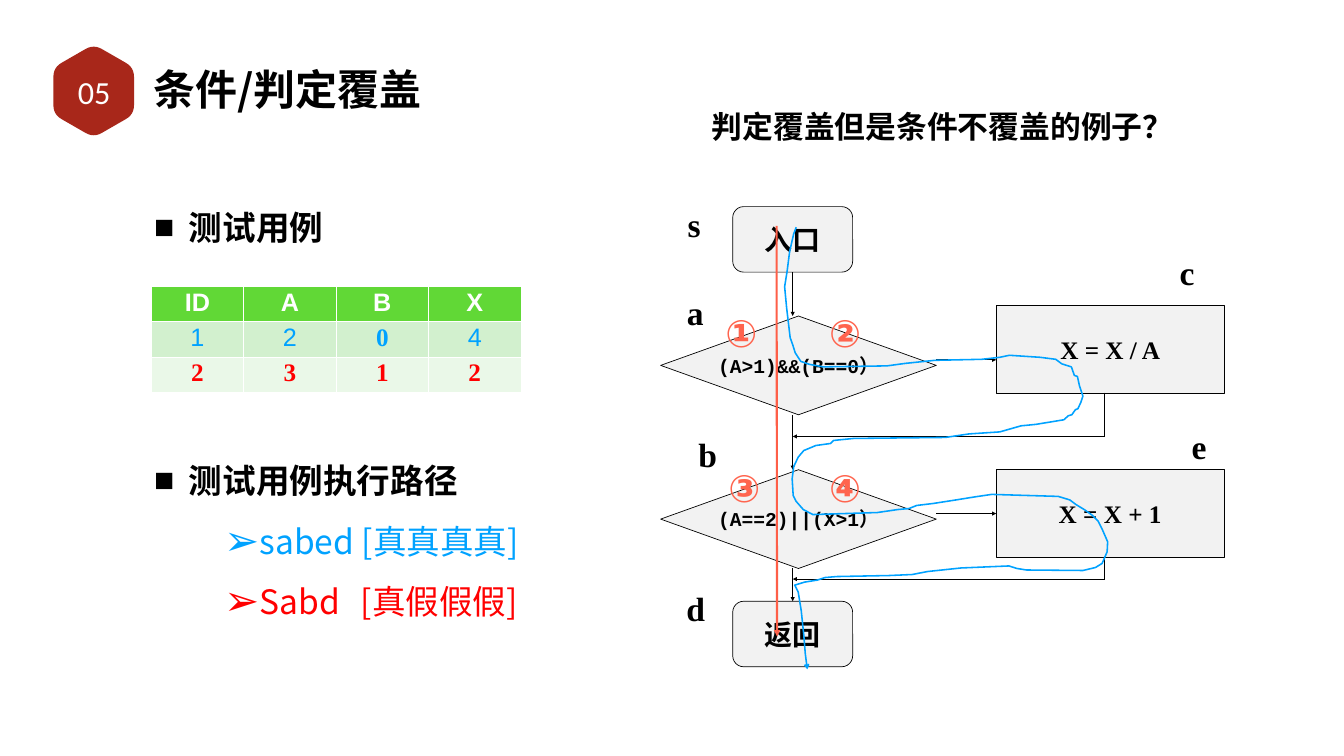
from dataclasses import dataclass

from pptx import Presentation
from pptx.dml.color import RGBColor
from pptx.enum.shapes import MSO_CONNECTOR, MSO_SHAPE
from pptx.enum.text import MSO_ANCHOR, MSO_AUTO_SIZE, PP_ALIGN
from pptx.oxml.ns import qn
from pptx.util import Inches, Pt
from lxml import etree

TERMINAL = MSO_SHAPE.FLOWCHART_ALTERNATE_PROCESS
DECISION = MSO_SHAPE.FLOWCHART_DECISION
PROCESS = MSO_SHAPE.FLOWCHART_PROCESS
STRAIGHT = MSO_CONNECTOR.STRAIGHT
CENTER, LEFT = PP_ALIGN.CENTER, PP_ALIGN.LEFT
TOP, MIDDLE = MSO_ANCHOR.TOP, MSO_ANCHOR.MIDDLE
NO_AUTOFIT = MSO_AUTO_SIZE.NONE


@dataclass(frozen=True)
class Theme:
    black: str = "000000"
    white: str = "FFFFFF"
    crimson: str = "A8271A"
    panel: str = "F2F2F2"
    blue: str = "00A2FF"
    red: str = "FF0000"
    coral: str = "FF644E"
    path_red: str = "FE5F48"
    header: str = "61D836"
    band_dark: str = "D2F0CE"
    band_light: str = "EAF8E8"
    cjk: str = "Noto Sans CJK SC"
    serif: str = "Times New Roman"
    sans: str = "Arial"
    mono: str = "Courier New"
    number: str = "Calibri"
    title: int = 60
    mark: int = 54
    body: int = 48
    badge: int = 46
    question: int = 44
    terminal: int = 40
    step: int = 36
    condition: int = 28


THEME = Theme()

BLUE_PATH = [
    (15.8, 4.51), (15.75, 4.64), (15.67, 4.99), (15.62, 5.38), (15.57, 5.69),
    (15.61, 6.11), (15.68, 6.7), (15.73, 6.84), (15.78, 7), (15.89, 7.17),
    (16.06, 7.23), (16.34, 7.28), (17.6, 7.26), (17.97, 7.21), (18.55, 7.15),
    (19.48, 7.13), (19.84, 7.09), (20.03, 7.05), (20.64, 7.09), (20.95, 7.13),
    (21.07, 7.22), (21.26, 7.28), (21.32, 7.45), (21.38, 7.47), (21.42, 7.65),
    (21.49, 7.86), (21.45, 7.98), (21.39, 8.11), (21.34, 8.13), (21.27, 8.23),
    (21.2, 8.25), (21.11, 8.33), (20.56, 8.42), (20.26, 8.45), (19.84, 8.57),
    (19.23, 8.61), (18.76, 8.68), (16.94, 8.7), (16.54, 8.74), (16.48, 8.8),
    (16.19, 8.84), (15.95, 8.94), (15.84, 9.07), (15.75, 9.26), (15.72, 9.5),
    (15.74, 9.83), (15.8, 9.95), (15.94, 10.11), (16.13, 10.21), (17.41, 10.17),
    (17.82, 10.11), (18.04, 10.09), (18.19, 10.03), (18.52, 9.99), (18.97, 9.92),
    (19.34, 9.86), (19.68, 9.81), (21, 9.85), (21.23, 9.92), (21.35, 10.01),
    (21.53, 10.12), (21.67, 10.22), (21.79, 10.34), (21.88, 10.52), (21.98, 10.75),
    (21.97, 10.95), (21.87, 11.18), (21.74, 11.26), (21.49, 11.32), (20.37, 11.31),
    (20.18, 11.28), (20.02, 11.23), (19.07, 11.27), (18.41, 11.34), (18.1, 11.4),
    (17.64, 11.42), (16.6, 11.44), (16.37, 11.46), (16.22, 11.51), (15.97, 11.55),
    (15.77, 11.61), (15.84, 11.75), (15.9, 12.12), (15.95, 12.6), (15.98, 12.97),
    (16.02, 13.28),
]


def rgb(value):
    return RGBColor.from_string(value)


def apply(target, values):
    for name, value in values.items():
        setattr(target, name, value)


def write(paragraph, text, size, font, color, bold=True, align=LEFT):
    paragraph.alignment = align
    run = paragraph.add_run()
    run.text = text
    apply(run.font, {"size": Pt(size), "name": font, "bold": bold})
    run.font.color.rgb = rgb(color)
    if font == THEME.cjk:
        etree.SubElement(run._r.get_or_add_rPr(), qn("a:ea"), typeface=font)
    return run


def format_frame(frame, anchor=TOP, wrap=True, margin=None):
    apply(frame, {"auto_size": NO_AUTOFIT, "word_wrap": wrap, "vertical_anchor": anchor})
    if margin is not None:
        sides = ("margin_left", "margin_right", "margin_top", "margin_bottom")
        apply(frame, dict.fromkeys(sides, Inches(margin)))


def add_text(slide, box, text, size, font, color, **frame_format):
    shape = slide.shapes.add_textbox(*map(Inches, box))
    format_frame(shape.text_frame, **frame_format)
    bold = font != THEME.number
    return write(shape.text_frame.paragraphs[0], text, size, font, color, bold, CENTER)


def add_mark(slide, left, top, text):
    run = add_text(slide, (left, top, 0.96, 1.01), text, THEME.mark, THEME.sans,
                   THEME.coral, wrap=False)
    outline = etree.Element(qn("a:ln"), w=str(Pt(0.75)))
    fill = etree.SubElement(outline, qn("a:solidFill"))
    etree.SubElement(fill, qn("a:srgbClr"), val=THEME.white)
    run._r.get_or_add_rPr().insert(0, outline)


def add_node(slide, kind, box, text, size, font):
    shape = slide.shapes.add_shape(kind, *map(Inches, box))
    shape.shadow.inherit = False
    shape.fill.solid()
    shape.fill.fore_color.rgb = rgb(THEME.panel)
    format_line(shape.line, THEME.black, 1)
    format_frame(shape.text_frame, MIDDLE, wrap=False)
    write(shape.text_frame.paragraphs[0], text, size, font, THEME.black, align=CENTER)


def format_line(line, color, width, arrow=None):
    line.color.rgb = rgb(color)
    line.width = Pt(width)
    if arrow:
        etree.SubElement(line._get_or_add_ln(), qn("a:tailEnd"), type=arrow)


def add_line(slide, start, end, color=THEME.black, width=1, arrow="triangle"):
    connector = slide.shapes.add_connector(STRAIGHT, *map(Inches, start + end))
    format_line(connector.line, color, width, arrow)
    etree.SubElement(connector._element.spPr, qn("a:effectLst"))


def add_outline(slide, points, close):
    points = [(Inches(x), Inches(y)) for x, y in points]
    builder = slide.shapes.build_freeform(*points[0])
    builder.add_line_segments(points[1:], close=close)
    shape = builder.convert_to_shape()
    shape.shadow.inherit = False
    return shape


def rounded_corners(corners, cut=0.2, steps=6):
    points = []
    for index, corner in enumerate(corners):
        before, after = corners[index - 1], corners[(index + 1) % len(corners)]
        start = [c + (b - c) * cut for c, b in zip(corner, before)]
        end = [c + (a - c) * cut for c, a in zip(corner, after)]
        for t in (step / steps for step in range(steps + 1)):
            points.append([(1 - t) ** 2 * s + 2 * t * (1 - t) * c + t ** 2 * e
                           for s, c, e in zip(start, corner, end)])
    return points


def add_badge(slide):
    corners = [(1.86, 0.88), (2.66, 1.34), (2.66, 2.27), (1.86, 2.73), (1.06, 2.27), (1.06, 1.34)]
    shape = add_outline(slide, rounded_corners(corners), close=True)
    shape.fill.solid()
    shape.fill.fore_color.rgb = rgb(THEME.crimson)
    shape.line.fill.background()
    add_text(slide, (1, 1.29, 1.74, 1.05), "05", THEME.badge, THEME.number, THEME.white,
             anchor=MIDDLE, margin=0.05)


def add_bullets(slide, box, items):
    frame = slide.shapes.add_textbox(*map(Inches, box)).text_frame
    format_frame(frame, margin=0.06)
    for index, (text, color, level) in enumerate(items):
        paragraph = frame.add_paragraph() if index else frame.paragraphs[0]
        properties = paragraph._p.get_or_add_pPr()
        properties.set("marL", str(Inches(2.08 if level else 0.69)))
        properties.set("indent", str(Inches(-0.69)))
        if level:
            etree.SubElement(properties, qn("a:buSzPct"), val="125000")
        etree.SubElement(properties, qn("a:buFont"), typeface=THEME.sans)
        etree.SubElement(properties, qn("a:buChar"), char="➢" if level else "■")
        if "\t" in text:
            tabs = etree.SubElement(properties, qn("a:tabLst"))
            etree.SubElement(tabs, qn("a:tab"), pos=str(Inches(4.1)), algn="l")
        apply(paragraph, {"level": level, "line_spacing": 1.5 if level else 2.0})
        write(paragraph, text, THEME.body, THEME.cjk, color, bold=not level)


def add_cases(slide):
    rows = ["ID A B X".split(), "1 2 0 4".split(), "2 3 1 2".split()]
    styles = [(THEME.header, THEME.white), (THEME.band_dark, THEME.blue), (THEME.band_light, THEME.red)]
    box = map(Inches, (3, 5.68, 7.34, 2.1))
    table = slide.shapes.add_table(len(rows), len(rows[0]), *box).table
    for row, (values, (fill, color)) in enumerate(zip(rows, styles)):
        for column, value in enumerate(values):
            cell = table.cell(row, column)
            serif = row == 2 or value == "0"
            write(cell.text_frame.paragraphs[0], value, THEME.step,
                  THEME.serif if serif else THEME.sans, color, serif or row == 0, CENTER)
            for side in ("lnL", "lnR", "lnT", "lnB"):
                width = Pt(3 if row == 0 and side == "lnB" else 1)
                border = etree.SubElement(cell._tc.get_or_add_tcPr(), qn("a:" + side), w=str(width))
                paint = etree.SubElement(border, qn("a:solidFill"))
                etree.SubElement(paint, qn("a:srgbClr"), val=THEME.white)
            cell.fill.solid()
            cell.fill.fore_color.rgb = rgb(fill)


def add_flowchart(slide):
    axis, branch = 15.73, 21.92
    for top, text in ((4.1, "入口"), (11.93, "返回")):
        add_node(slide, TERMINAL, (14.54, top, 2.38, 1.3), text, THEME.terminal, THEME.serif)
    for top, text in ((6.27, "(A>1)&&(B==0）"), (9.32, "(A==2)||(X>1）")):
        add_node(slide, DECISION, (13.11, top, 5.47, 1.96), text, THEME.condition, THEME.mono)
        add_line(slide, (18.58, top + 0.87), (19.77, top + 0.87))
    for top, text in ((6.06, "X = X / A"), (9.32, "X = X + 1")):
        add_node(slide, PROCESS, (19.77, top, 4.52, 1.74), text, THEME.step, THEME.serif)
    for start, end in ((5.4, 6.27), (8.23, 9.32), (11.27, 11.93)):
        add_line(slide, (axis, start), (axis, end))
    for start, end in ((7.79, 8.66), (11.06, 11.49)):
        add_line(slide, (branch, start), (branch, end), arrow=None)
        add_line(slide, (branch, end), (axis, end))
    for left, top, text in ((13.39, 4, "s"), (13.41, 5.74, "a"), (13.66, 8.56, "b"),
                            (13.42, 11.61, "d"), (23.17, 4.95, "c"), (23.41, 8.41, "e")):
        add_text(slide, (left, top, 0.77, 1.19), text, THEME.body, THEME.serif, THEME.black, wrap=False)
    for left, top, text in ((14.23, 6.09, "①"), (16.29, 6.09, "②"),
                            (14.29, 9.18, "③"), (16.29, 9.18, "④")):
        add_mark(slide, left, top, text)


def add_title(slide, text):
    title = slide.shapes.title
    apply(title, dict(zip(("left", "top", "width", "height"), map(Inches, (2.99, 1.18, 6.02, 1.14)))))
    format_frame(title.text_frame, MIDDLE, margin=0.06)
    write(title.text_frame.paragraphs[0], text, THEME.title, THEME.cjk, THEME.black)


def main():
    presentation = Presentation()
    apply(presentation, {"slide_width": Inches(26.67), "slide_height": Inches(15)})
    slide = presentation.slides.add_slide(presentation.slide_layouts[5])
    add_title(slide, "条件/判定覆盖")
    add_badge(slide)
    add_flowchart(slide)
    add_bullets(slide, (3, 3.24, 8.12, 2.61), [("测试用例", THEME.black, 0)])
    add_cases(slide)
    add_line(slide, (15.41, 4.48), (15.42, 12.63), THEME.path_red, 3)
    add_bullets(slide, (3, 8.27, 8.12, 6.12), [
        ("测试用例执行路径", THEME.black, 0),
        ("sabed [真真真真]", THEME.blue, 1),
        ("Sabd\t[真假假假]", THEME.red, 1)])
    add_text(slide, (13.98, 2.09, 9.46, 0.84), "判定覆盖但是条件不覆盖的例子？", THEME.question,
             THEME.sans, THEME.black, wrap=False)
    trace = add_outline(slide, BLUE_PATH, close=False)
    trace.fill.background()
    format_line(trace.line, THEME.blue, 2.25, "arrow")
    presentation.save("out.pptx")


if __name__ == "__main__":
    main()
